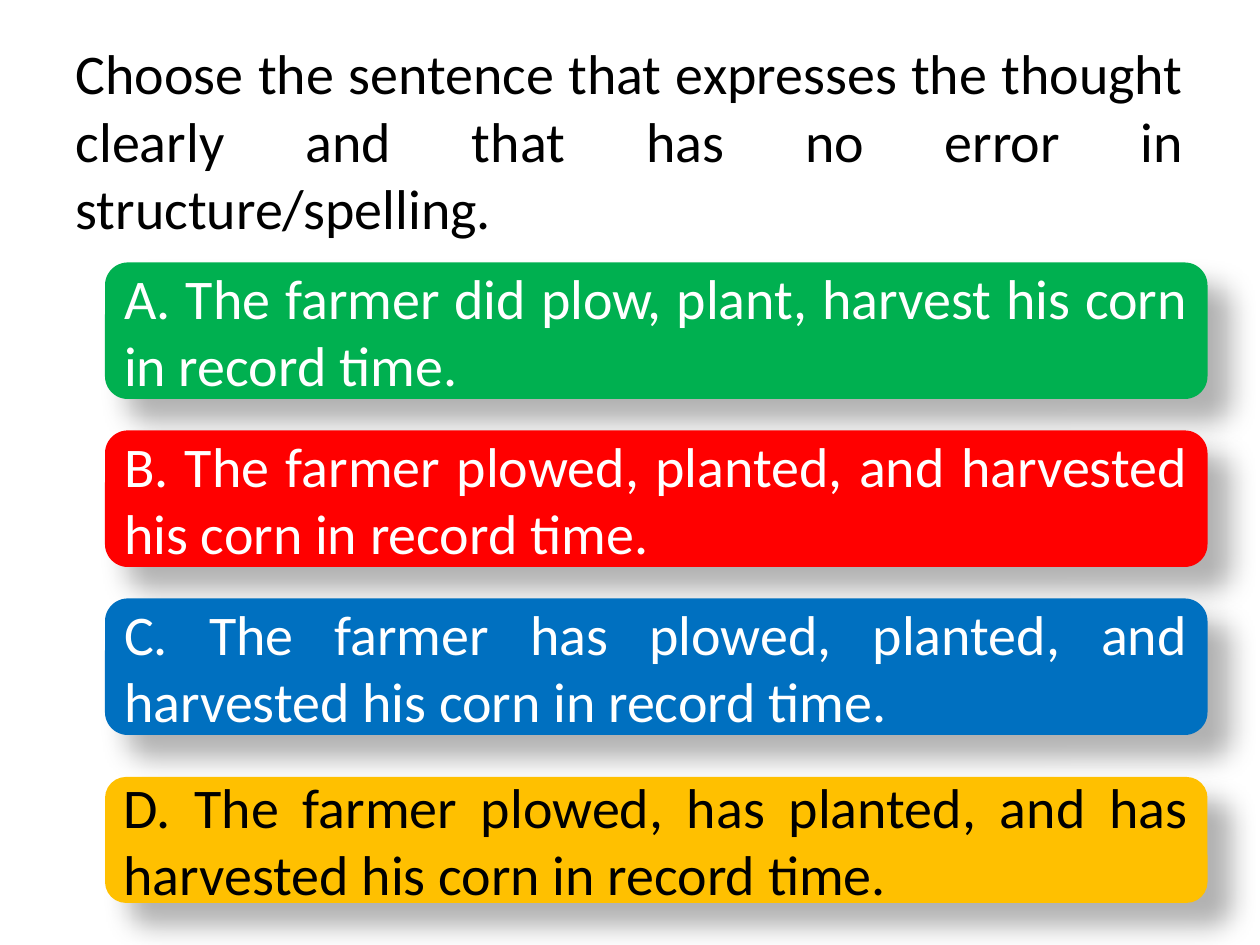
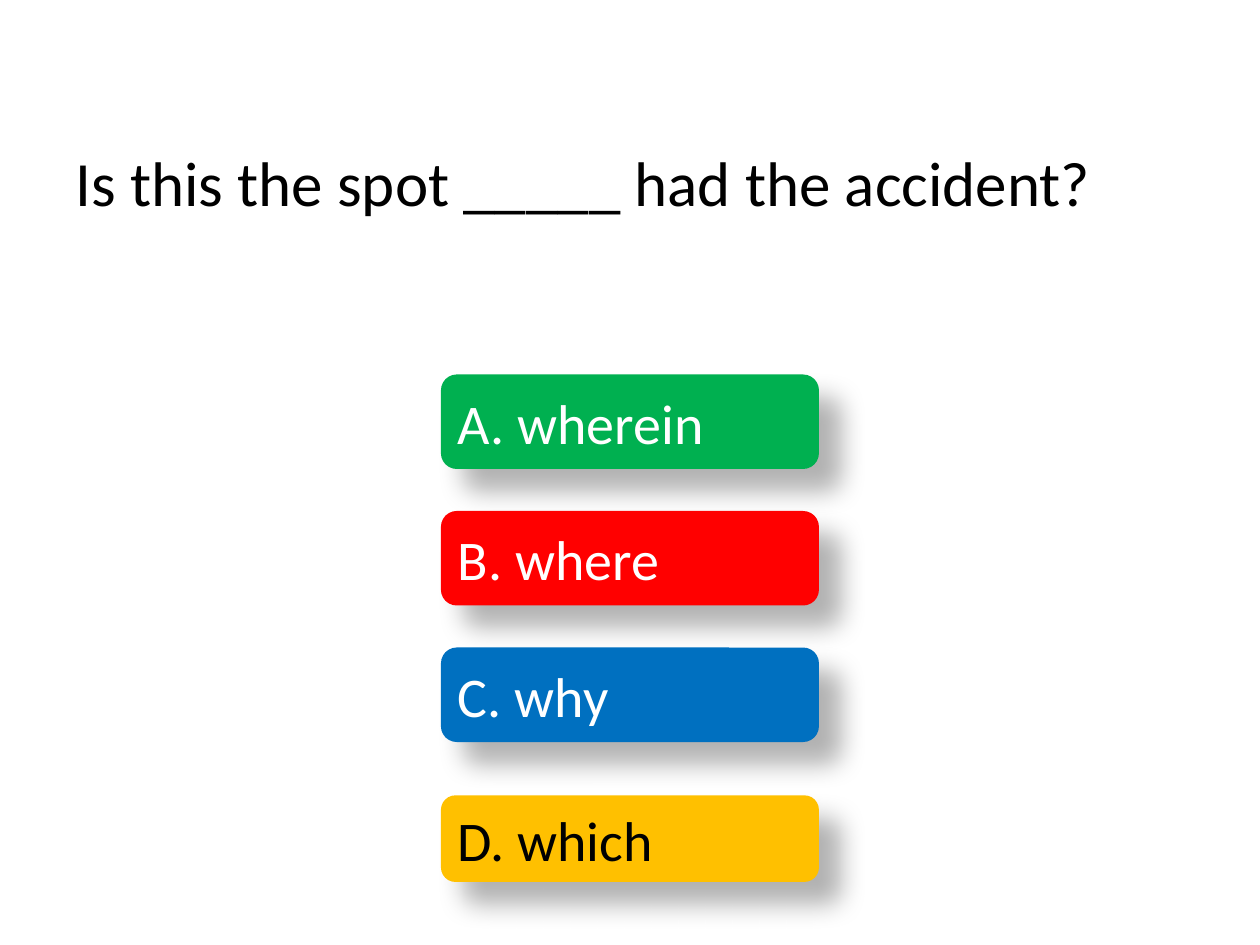
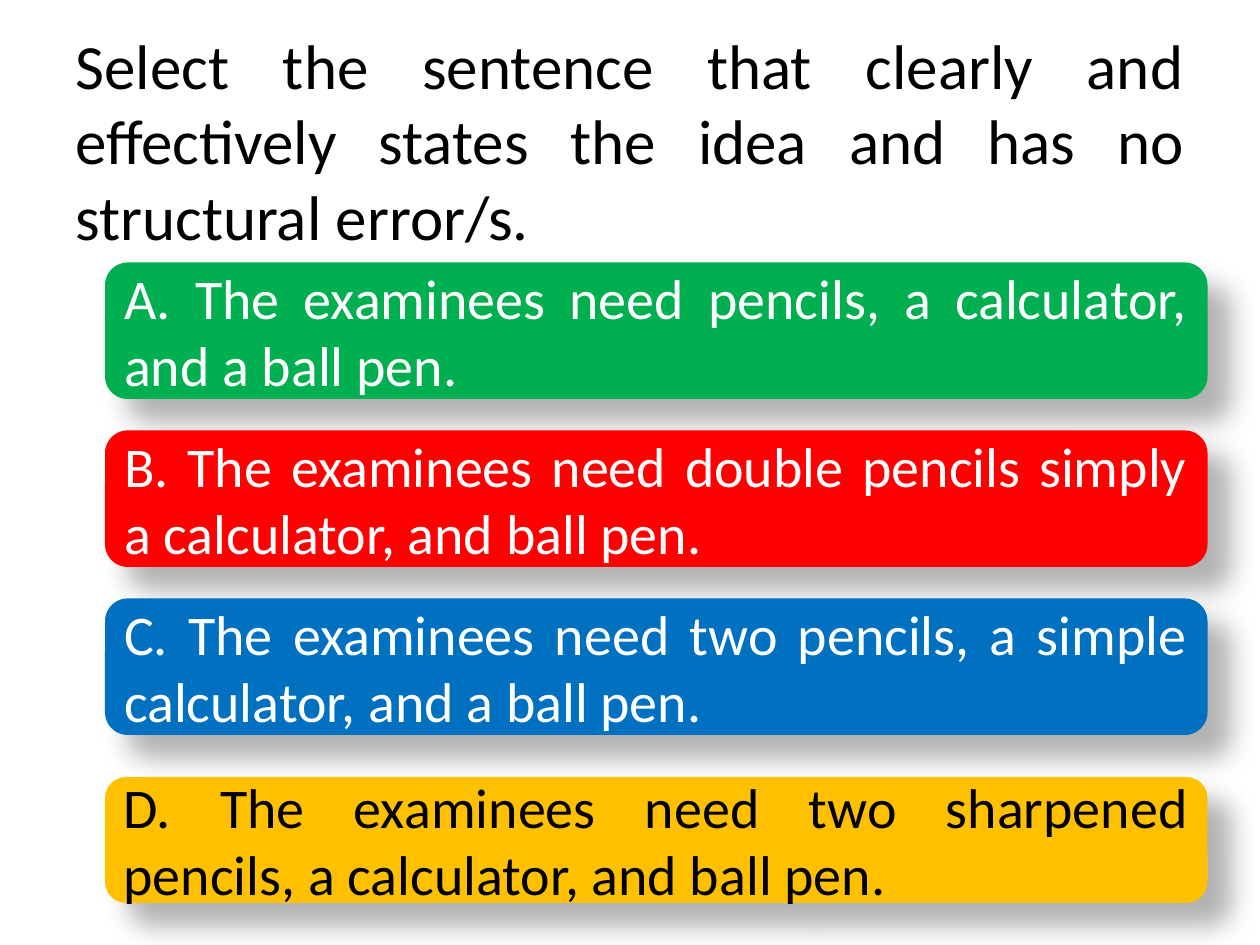
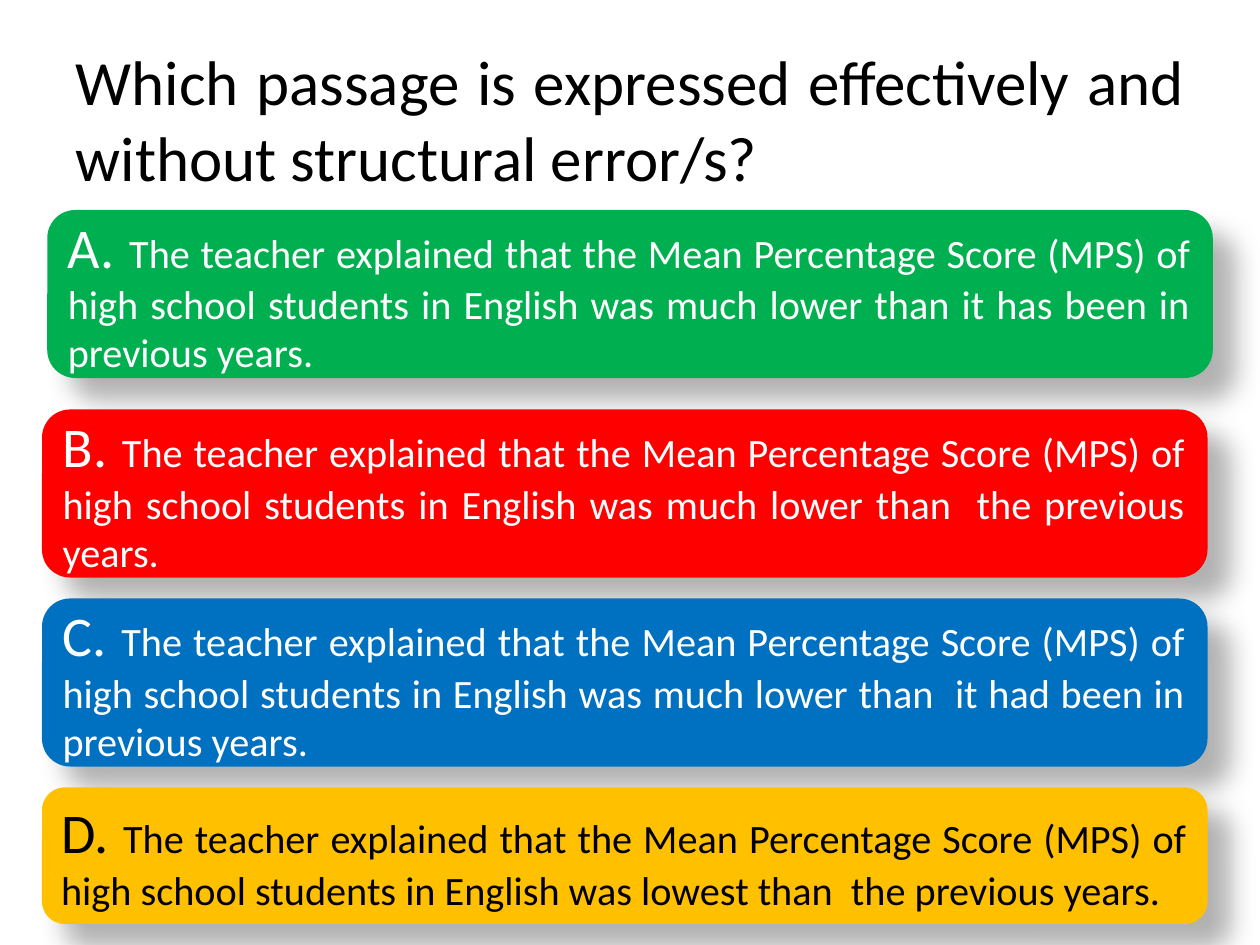
from lxml import etree
from pptx import Presentation
from pptx.dml.color import RGBColor
from pptx.enum import shapes, text
from pptx.oxml import ns
from pptx.util import Pt

BLACK = RGBColor(0x00, 0x00, 0x00)
WHITE = RGBColor(0xFF, 0xFF, 0xFF)
GREEN = RGBColor(0x00, 0xB0, 0x50)
RED = RGBColor(0xFF, 0x00, 0x00)
BLUE = RGBColor(0x00, 0x70, 0xC0)
GOLD = RGBColor(0xFF, 0xC0, 0x00)
FONT = "Calibri"
LETTER_SIZE = 32
ANSWER_STYLES = [("A. ", GREEN, WHITE), ("B. ", RED, WHITE), ("C. ", BLUE, WHITE), ("D. ", GOLD, BLACK)]

SENTENCE_BOXES = [(60, 150, 630, 78), (60, 246, 630, 78), (60, 342, 630, 78), (60, 444, 630, 72)]
WORD_BOXES = [(252, 214, 216, 54), (252, 292, 216, 54), (252, 370, 216, 54), (252, 454.5, 216, 49.5)]
PASSAGE_BOXES = [(27, 120, 666, 96), (24, 234, 666, 96), (24, 342, 666, 96), (24, 450, 666, 78)]
PASSAGE = "The teacher explained that the Mean Percentage Score (MPS) of high school students in English was "

QUESTIONS = [
    ("Choose the sentence that expresses the thought clearly and that has no error in structure/spelling.",
     32, 116.6, SENTENCE_BOXES, 32,
     ["The farmer did plow, plant, harvest his corn in record time.",
      "The farmer plowed, planted, and harvested his corn in record time.",
      "The farmer has plowed, planted, and harvested his corn in record time.",
      "The farmer plowed, has planted, and has harvested his corn in record time."]),
    ("Is this the spot _____ had the accident?",
     36, 164, WORD_BOXES, 32,
     ["wherein", "where", "why", "which"]),
    ("Select the sentence that clearly and effectively states the idea and has no structural error/s.",
     36, 116.6, SENTENCE_BOXES, 32,
     ["The examinees need pencils, a calculator, and a ball pen.",
      "The examinees need double pencils simply a calculator, and ball pen.",
      "The examinees need two pencils, a simple calculator, and a ball pen.",
      "The examinees need two sharpened pencils, a calculator, and ball pen."]),
    ("Which passage is expressed effectively and without structural error/s?",
     36, 92, PASSAGE_BOXES, 23,
     [PASSAGE + "much lower than it has been in previous years.",
      PASSAGE + "much lower than  the previous years.",
      PASSAGE + "much lower than  it had been in previous years.",
      PASSAGE + "lowest than  the previous years."]),
]


def format_text(frame, sizes, color):
    frame.word_wrap = True
    frame.auto_size = text.MSO_AUTO_SIZE.NONE
    frame.vertical_anchor = text.MSO_ANCHOR.MIDDLE
    paragraph = frame.paragraphs[0]
    paragraph.alignment = text.PP_ALIGN.JUSTIFY
    for run, size in zip(paragraph.runs, sizes):
        run.font.name = FONT
        run.font.size = Pt(size)
        run.font.color.rgb = color


def add_shadow(box):
    box.shadow.inherit = False
    effects = box._element.spPr.find(ns.qn("a:effectLst"))
    shadow = etree.SubElement(effects, ns.qn("a:outerShdw"), blurRad=str(Pt(15)), dist=str(Pt(18)),
                              dir=str(45 * 60000), algn="tl", rotWithShape="0")
    tint = etree.SubElement(shadow, ns.qn("a:srgbClr"), val=str(BLACK))
    etree.SubElement(tint, ns.qn("a:alpha"), val="30000")


deck = Presentation()
deck.slide_width, deck.slide_height = Pt(720), Pt(540)

for question, question_size, question_height, places, answer_size, answers in QUESTIONS:
    slide = deck.slides.add_slide(deck.slide_layouts[5])
    slide.background.fill.solid()
    slide.background.fill.fore_color.rgb = WHITE
    title = slide.shapes.title
    title.left, title.top, title.width, title.height = Pt(36), Pt(21.6), Pt(648), Pt(question_height)
    title.text_frame.text = question
    format_text(title.text_frame, [question_size], BLACK)

    for place, answer, (letter, fill, ink) in zip(places, answers, ANSWER_STYLES):
        box = slide.shapes.add_shape(shapes.MSO_SHAPE.ROUNDED_RECTANGLE, *map(Pt, place))
        box.fill.solid()
        box.fill.fore_color.rgb = fill
        box.line.fill.background()
        add_shadow(box)
        if answer_size == LETTER_SIZE:
            box.text_frame.text = letter + answer
        else:
            box.text_frame.text = letter
            box.text_frame.paragraphs[0].add_run().text = answer
        format_text(box.text_frame, [LETTER_SIZE, answer_size], ink)

deck.save("out.pptx")
